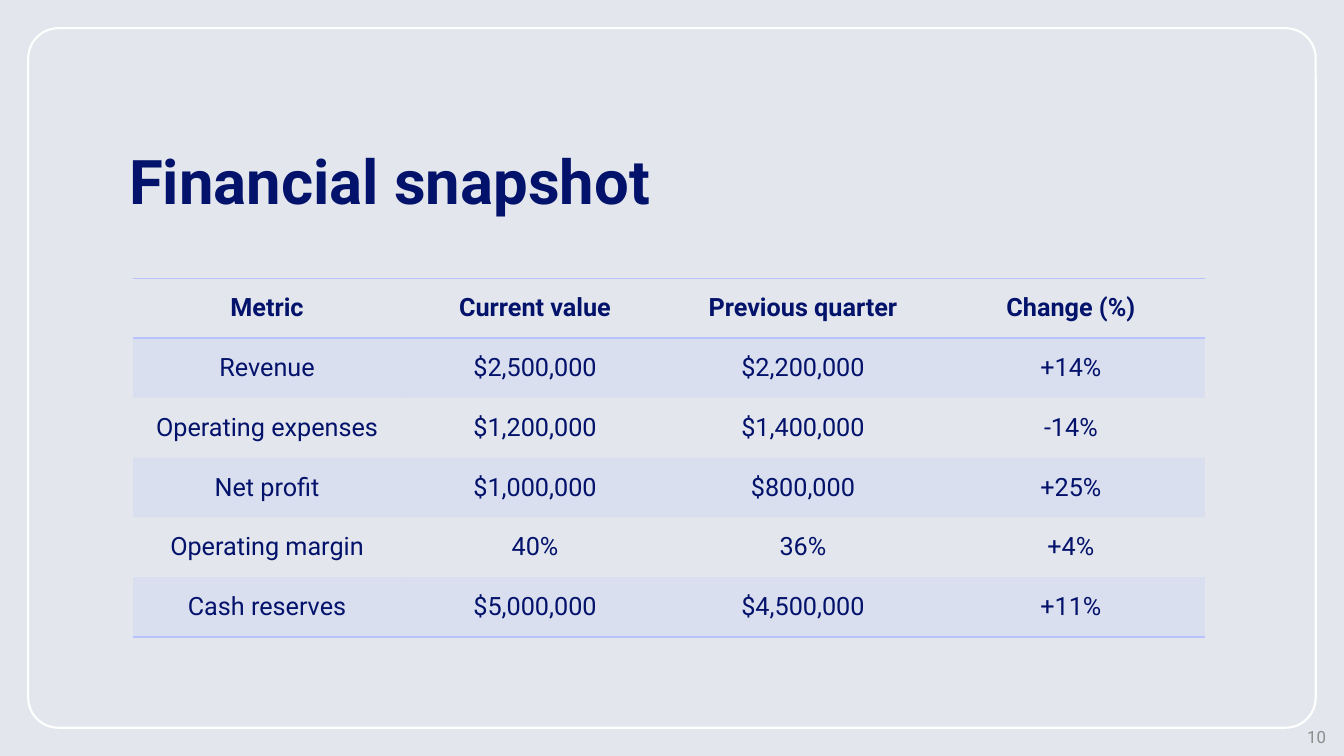
import lxml.etree
import pptx
import pptx.dml.color
import pptx.enum.shapes
import pptx.enum.text
import pptx.oxml.ns
import pptx.util
from pptx.util import Inches

BACKGROUND = pptx.dml.color.RGBColor(0xE3, 0xE7, 0xED)
NAVY = pptx.dml.color.RGBColor(0x03, 0x12, 0x6A)
PERIWINKLE = pptx.dml.color.RGBColor(0xB8, 0xC2, 0xFD)
WHITE = pptx.dml.color.RGBColor(0xFF, 0xFF, 0xFF)
GRAY = pptx.dml.color.RGBColor(0x8C, 0x8C, 0x8C)
FONT = "Roboto"
PLAIN_TABLE_STYLE = "{2D5ABB26-0587-4C30-8999-92F81FD0307C}"
BAND_OPACITY = 20

METRICS = [
    ("Metric", "Current value", "Previous quarter", "Change (%)"),
    ("Revenue", "$2,500,000", "$2,200,000", "+14%"),
    ("Operating expenses", "$1,200,000", "$1,400,000", "-14%"),
    ("Net profit", "$1,000,000", "$800,000", "+25%"),
    ("Operating margin", "40%", "36%", "+4%"),
    ("Cash reserves", "$5,000,000", "$4,500,000", "+11%"),
]


def write(text_frame, text, size, color, align, bold=False):
    text_frame.text = text
    paragraph = text_frame.paragraphs[0]
    paragraph.alignment = align
    font = paragraph.runs[0].font
    font.name = FONT
    font.size = pptx.util.Pt(size)
    font.bold = bold
    font.color.rgb = color


def add_frame(slide, left, top, width, height):
    """Draw the rounded outline behind everything else."""
    frame = slide.shapes.add_shape(
        pptx.enum.shapes.MSO_SHAPE.ROUNDED_RECTANGLE, left, top, width, height)
    frame.adjustments[0] = 0.043
    frame.shadow.inherit = False
    frame.fill.background()
    frame.line.color.rgb = WHITE
    frame.line.width = pptx.util.Pt(1.5)
    slide.shapes.title._element.addprevious(frame._element)


def place_title(slide, text, left, top, width, height):
    title = slide.shapes.title
    title.left, title.top, title.width, title.height = left, top, width, height
    write(title.text_frame, text, 44, NAVY, pptx.enum.text.PP_ALIGN.LEFT, bold=True)
    title.text_frame.word_wrap = True
    title.text_frame.auto_size = pptx.enum.text.MSO_AUTO_SIZE.NONE
    title.text_frame.vertical_anchor = pptx.enum.text.MSO_ANCHOR.BOTTOM
    title.text_frame.paragraphs[0].line_spacing = 0.9


def fill_band(cell):
    cell.fill.solid()
    cell.fill.fore_color.rgb = PERIWINKLE
    color = cell._tc.tcPr.find(".//" + pptx.oxml.ns.qn("a:srgbClr"))
    lxml.etree.SubElement(color, pptx.oxml.ns.qn("a:alpha"), val=str(BAND_OPACITY * 1000))


def add_borders(cell, edges):
    """Rule the given edges, named in schema order: lnT before lnB."""
    properties = cell._tc.get_or_add_tcPr()
    for position, edge in enumerate(edges):
        line = lxml.etree.Element(
            pptx.oxml.ns.qn("a:" + edge), w=str(pptx.util.Pt(1)))
        fill = lxml.etree.SubElement(line, pptx.oxml.ns.qn("a:solidFill"))
        lxml.etree.SubElement(fill, pptx.oxml.ns.qn("a:srgbClr"), val=str(PERIWINKLE))
        properties.insert(position, line)


def add_metrics_table(slide, metrics, left, top, width, height):
    table = slide.shapes.add_table(
        len(metrics), len(metrics[0]), left, top, width, height).table
    table._tbl.tblPr.find(pptx.oxml.ns.qn("a:tableStyleId")).text = PLAIN_TABLE_STYLE
    last = len(metrics) - 1
    for row, values in enumerate(metrics):
        for column, value in enumerate(values):
            cell = table.cell(row, column)
            write(cell.text_frame, value, 18, NAVY,
                  pptx.enum.text.PP_ALIGN.CENTER, bold=row == 0)
            cell.vertical_anchor = pptx.enum.text.MSO_ANCHOR.MIDDLE
            if row % 2:
                fill_band(cell)
            else:
                cell.fill.background()
            if row == 0:
                add_borders(cell, ["lnT", "lnB"])
            elif row == last:
                add_borders(cell, ["lnB"])


def add_page_number(slide, number, left, top, width, height):
    page_number = slide.shapes.add_textbox(left, top, width, height).text_frame
    page_number.word_wrap = True
    page_number.vertical_anchor = pptx.enum.text.MSO_ANCHOR.MIDDLE
    write(page_number, number, 12, GRAY, pptx.enum.text.PP_ALIGN.RIGHT)


def build_financial_slide(presentation):
    slide = presentation.slides.add_slide(presentation.slide_layouts[5])
    slide.background.fill.solid()
    slide.background.fill.fore_color.rgb = BACKGROUND
    margin = Inches(0.28)
    add_frame(slide, margin, margin, presentation.slide_width - 2 * margin,
              presentation.slide_height - 2 * margin)
    place_title(slide, "Financial snapshot",
                Inches(1.18), Inches(0.4), Inches(11.24), Inches(1.81))
    add_metrics_table(slide, METRICS,
                      Inches(1.32), Inches(2.76), Inches(10.63), Inches(3.56))
    add_page_number(slide, "10", Inches(10.25), Inches(7.18), Inches(3), Inches(0.25))


def main():
    presentation = pptx.Presentation()
    presentation.slide_width = Inches(13.33)
    presentation.slide_height = Inches(7.5)
    build_financial_slide(presentation)
    presentation.save("out.pptx")


if __name__ == "__main__":
    main()
